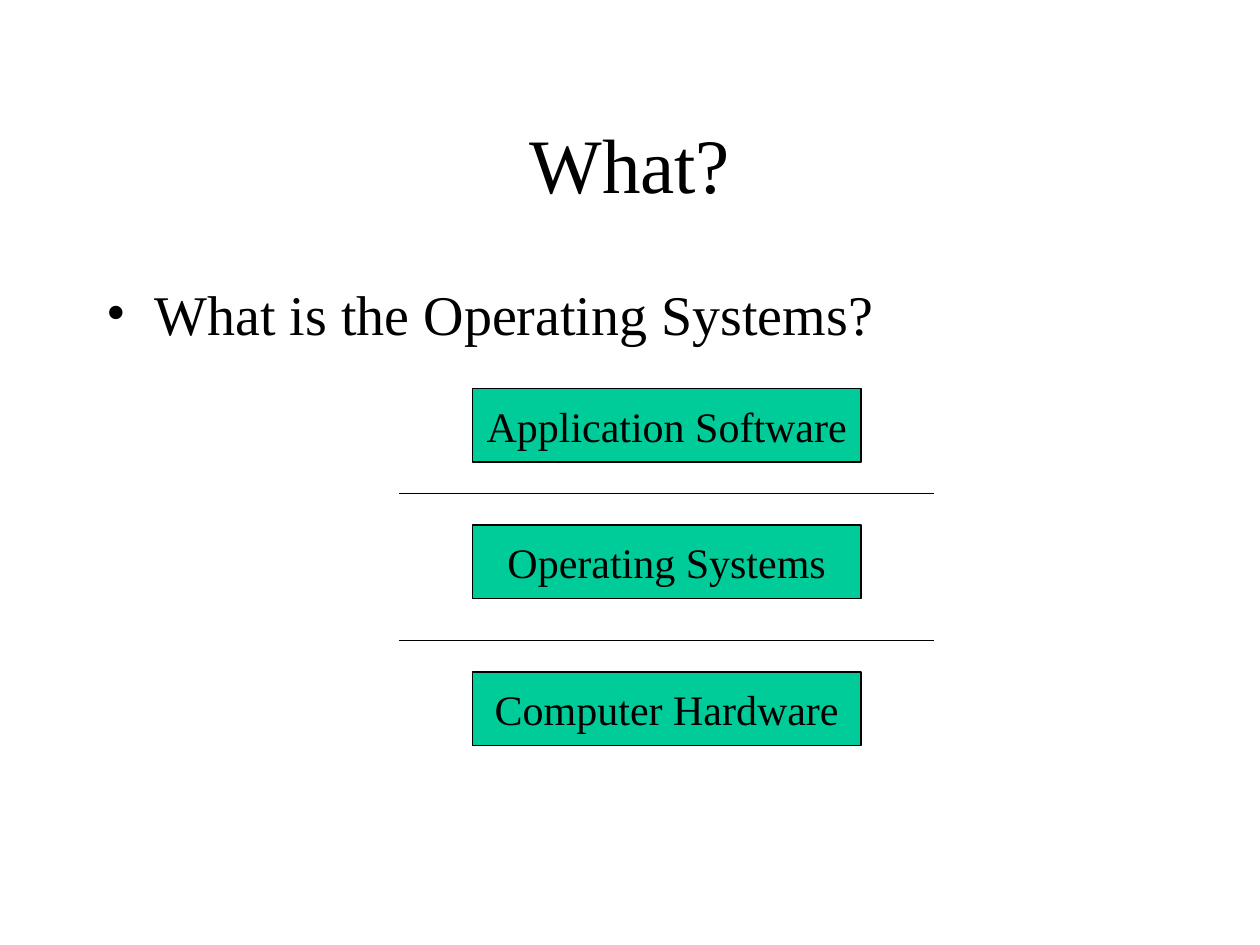
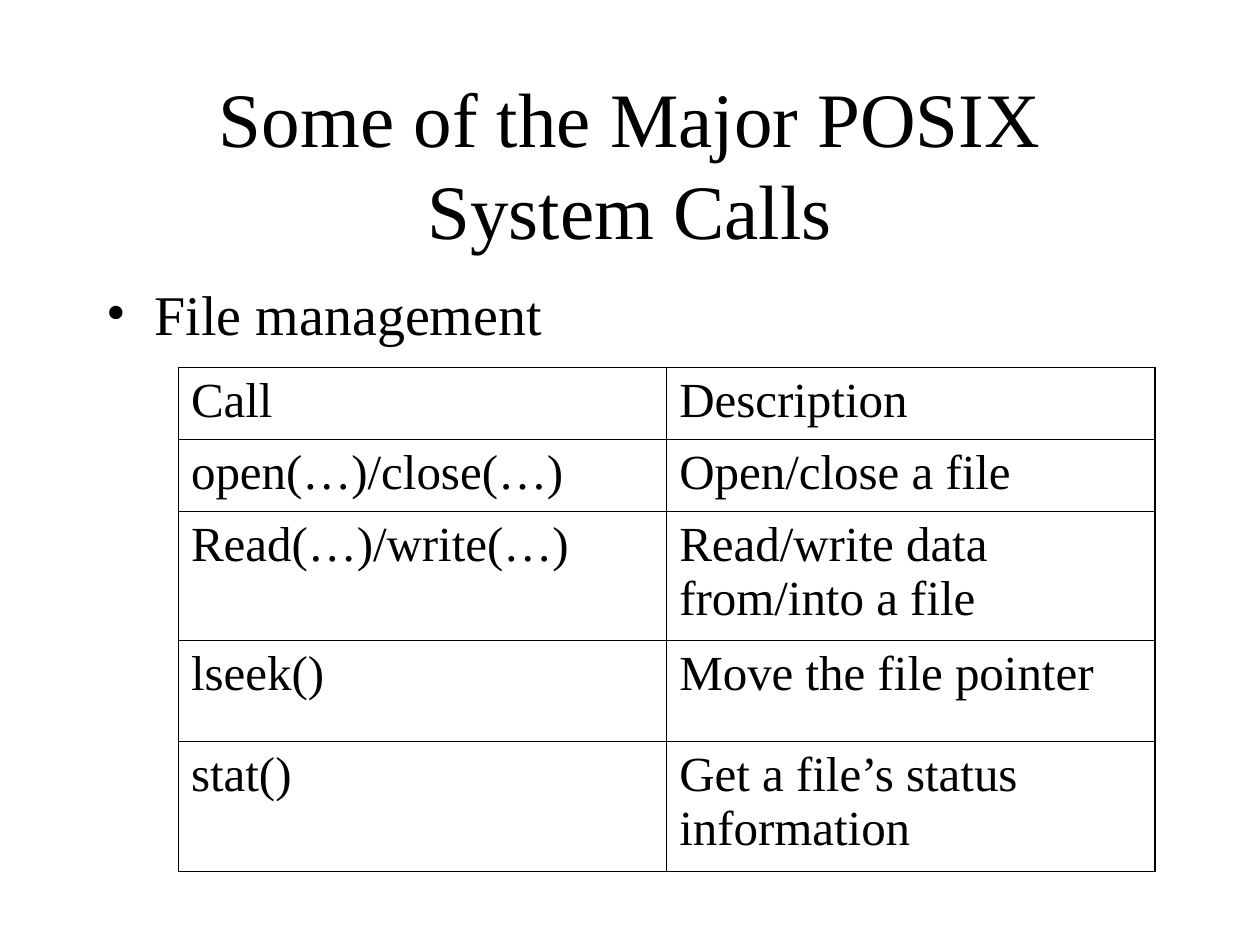
from lxml import etree
from pptx import Presentation
from pptx.dml.color import RGBColor
from pptx.enum.shapes import MSO_CONNECTOR, MSO_SHAPE
from pptx.enum.text import MSO_ANCHOR, MSO_AUTO_SIZE, PP_ALIGN
from pptx.oxml.ns import qn
from pptx.util import Inches, Pt

RECTANGLE = MSO_SHAPE.RECTANGLE
STRAIGHT = MSO_CONNECTOR.STRAIGHT
MIDDLE, TOP = MSO_ANCHOR.MIDDLE, MSO_ANCHOR.TOP
CENTER, LEFT = PP_ALIGN.CENTER, PP_ALIGN.LEFT
NO_AUTOFIT = MSO_AUTO_SIZE.NONE

BLACK = RGBColor(0x00, 0x00, 0x00)
LAYER_GREEN = RGBColor(0x00, 0xCC, 0x99)
FONT = "Times New Roman"
TITLE_SIZE, BULLET_SIZE, CELL_SIZE, LAYER_SIZE = 44, 32, 28, 24
LINE_WIDTH = Pt(0.75)
OUTER_BORDER, INNER_BORDER = Pt(1.08), Pt(0.45)

# The slide is a grid of 120 columns by 90 rows.
COLUMNS, ROWS = 120, 90
SLIDE_WIDTH, SLIDE_HEIGHT = Inches(10), Inches(7.5)

LAYERS = [
    ("Application Software", 37),
    ("Operating Systems", 50),
    ("Computer Hardware", 64),
]
LAYER_LEFT, LAYER_WIDTH, LAYER_HEIGHT = 45, 37, 7
DIVIDER_LEFT, DIVIDER_RIGHT, DIVIDER_GAP = 38, 89, 3

FILE_CALLS = [
    ("Call", "Description"),
    ("open(…)/close(…)", "Open/close a file"),
    ("Read(…)/write(…)", "Read/write data from/into a file"),
    ("lseek()", "Move the file pointer"),
    ("stat()", "Get a file’s status information"),
]
CALL_ROW_HEIGHTS = [0.57, 0.57, 1.03, 0.8, 1.03]


def across(columns):
    return round(SLIDE_WIDTH * columns / COLUMNS)


def down(rows):
    return round(SLIDE_HEIGHT * rows / ROWS)


def area(left, top, width, height):
    return across(left), down(top), across(width), down(height)


def write(frame, text, size, align=LEFT, anchor=TOP, wrap=True):
    """Write one paragraph into a text frame and return it."""
    frame.word_wrap = wrap
    frame.auto_size = NO_AUTOFIT
    frame.vertical_anchor = anchor
    return add_text(frame.paragraphs[0], text, size, align)


def add_text(paragraph, text, size, align=LEFT):
    paragraph.alignment = align
    run = paragraph.add_run()
    run.text = text
    run.font.name = FONT
    run.font.size = Pt(size)
    run.font.bold = False
    run.font.color.rgb = BLACK
    return paragraph


def add_titled_slide(deck, title, topic):
    """Add a slide with a centred title and one bullet below it."""
    slide = deck.slides.add_slide(deck.slide_layouts[5])
    heading = slide.shapes.title
    heading.left, heading.top, heading.width, heading.height = area(9, 8, 102, 15)
    write(heading.text_frame, title, TITLE_SIZE, CENTER, MIDDLE)

    body = slide.shapes.add_textbox(*area(9, 26, 102, 54))
    bullet = write(body.text_frame, topic, BULLET_SIZE)
    properties = bullet._p.get_or_add_pPr()
    properties.set("marL", str(Inches(0.38)))
    properties.set("indent", str(-Inches(0.38)))
    etree.SubElement(properties, qn("a:buFont"), typeface=FONT)
    etree.SubElement(properties, qn("a:buChar"), char="•")
    return slide


def add_layer(slide, name, top):
    box = slide.shapes.add_shape(
        RECTANGLE, *area(LAYER_LEFT, top, LAYER_WIDTH, LAYER_HEIGHT))
    box.shadow.inherit = False
    box.fill.solid()
    box.fill.fore_color.rgb = LAYER_GREEN
    box.line.color.rgb = BLACK
    box.line.width = LINE_WIDTH
    write(box.text_frame, name, LAYER_SIZE, CENTER, MIDDLE, wrap=False)


def add_divider(slide, row):
    divider = slide.shapes.add_connector(
        STRAIGHT, across(DIVIDER_LEFT), down(row), across(DIVIDER_RIGHT), down(row))
    divider.line.color.rgb = BLACK
    divider.line.width = LINE_WIDTH
    etree.SubElement(divider._element.spPr, qn("a:effectLst"))


def set_border(cell, side, width):
    properties = cell._tc.get_or_add_tcPr()
    border = etree.SubElement(properties, qn(f"a:ln{side}"), w=str(width))
    fill = etree.SubElement(border, qn("a:solidFill"))
    etree.SubElement(fill, qn("a:srgbClr"), val=str(BLACK))


def add_ruled_table(slide, records, row_heights, left, top, width):
    """Add an unfilled table with a heavier outer frame."""
    last_row, last_column = len(records) - 1, len(records[0]) - 1
    table = slide.shapes.add_table(
        len(records), len(records[0]), across(left), down(top),
        across(width), Inches(sum(row_heights))).table
    table.first_row = False
    table.horz_banding = False
    for row, height in zip(table.rows, row_heights):
        row.height = Inches(height)
    for r, record in enumerate(records):
        for c, text in enumerate(record):
            cell = table.cell(r, c)
            add_text(cell.text_frame.paragraphs[0], text, CELL_SIZE)
            on_edge = {"L": c == 0, "R": c == last_column,
                       "T": r == 0, "B": r == last_row}
            for side, outer in on_edge.items():
                set_border(cell, side, OUTER_BORDER if outer else INNER_BORDER)
            cell.fill.background()


def build_system_layers(deck):
    slide = add_titled_slide(deck, "What?", "What is the Operating Systems?")
    for name, top in LAYERS:
        add_layer(slide, name, top)
    for _, top in LAYERS[1:]:
        add_divider(slide, top - DIVIDER_GAP)


def build_file_calls(deck):
    slide = add_titled_slide(
        deck, "Some of the Major POSIX System Calls", "File management")
    add_ruled_table(slide, FILE_CALLS, CALL_ROW_HEIGHTS, left=17, top=35, width=93)


def main():
    deck = Presentation()
    deck.slide_width, deck.slide_height = SLIDE_WIDTH, SLIDE_HEIGHT
    build_system_layers(deck)
    build_file_calls(deck)
    deck.save("out.pptx")


if __name__ == "__main__":
    main()
